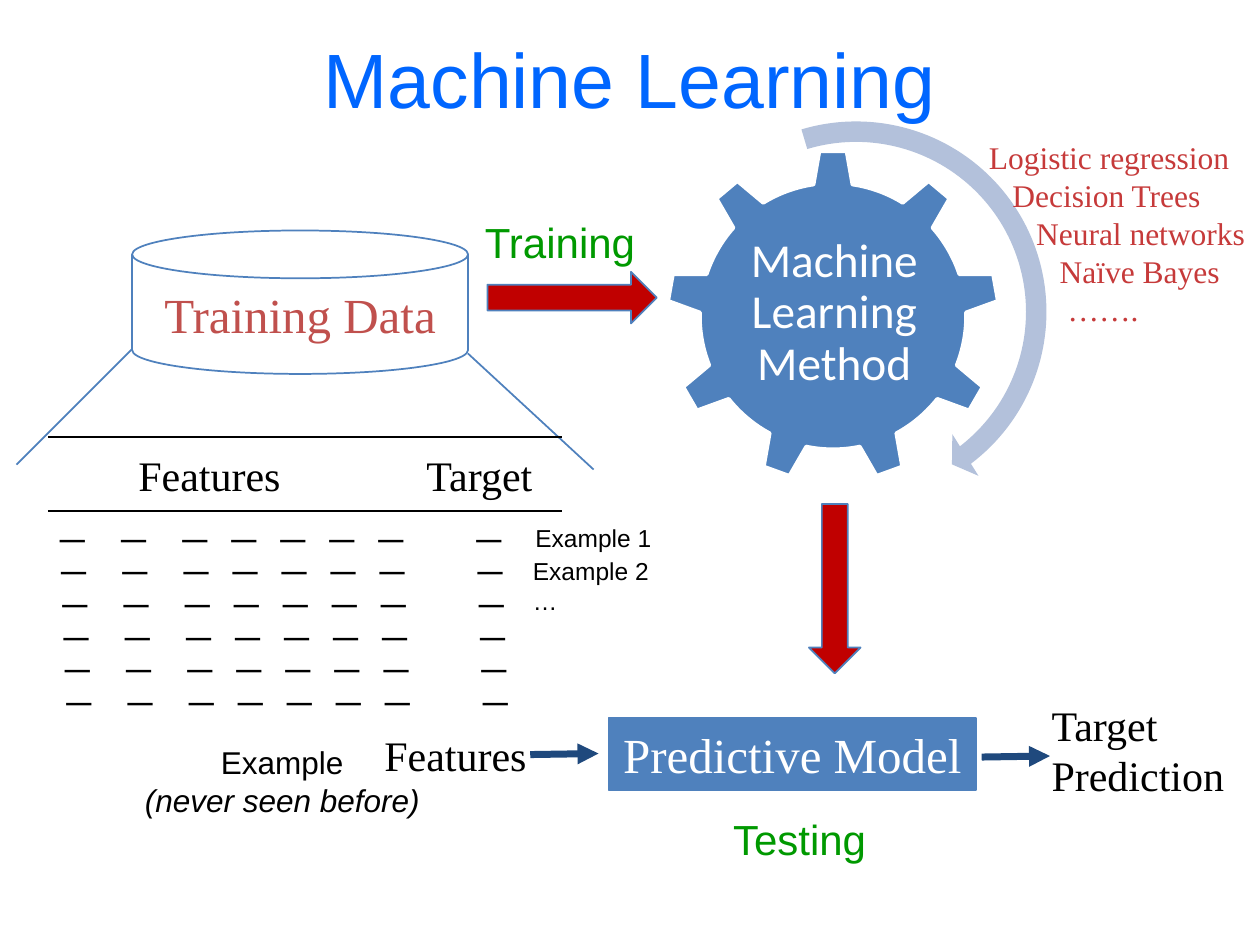
from lxml.etree import SubElement
from pptx import Presentation
from pptx.dml.color import RGBColor
from pptx.enum.shapes import MSO_CONNECTOR, MSO_SHAPE
from pptx.enum.text import MSO_ANCHOR, PP_ALIGN
from pptx.oxml.ns import qn
from pptx.util import Pt

BLACK = RGBColor(0x00, 0x00, 0x00)
WHITE = RGBColor(0xFF, 0xFF, 0xFF)
TITLE_BLUE = RGBColor(0x00, 0x66, 0xFF)
BLUE = RGBColor(0x4F, 0x81, 0xBD)
PALE_BLUE = RGBColor(0xB3, 0xC1, 0xDB)
NAVY = RGBColor(0x1F, 0x49, 0x7D)
RED = RGBColor(0xC0, 0x00, 0x00)
DATA_RED = RGBColor(0xC0, 0x50, 0x4D)
METHOD_RED = RGBColor(0xC6, 0x3A, 0x3A)
GREEN = RGBColor(0x00, 0x99, 0x00)
SERIF, SANS, GEAR_FONT = "Times New Roman", "Arial", "Calibri"


def add_run(paragraph, text, size, color, font=SERIF, italic=None):
    run = paragraph.add_run()
    run.text = text
    run.font.size = Pt(size)
    run.font.name = font
    run.font.color.rgb = color
    run.font.italic = italic


def add_tab_stops(paragraph, positions):
    tab_list = SubElement(paragraph._p.get_or_add_pPr(), qn("a:tabLst"))
    for position in positions:
        SubElement(tab_list, qn("a:tab"), pos=str(Pt(position)), algn="l")


def add_text(slide, box, lines, size, color=BLACK, font=SERIF, align=PP_ALIGN.LEFT,
             tabs=(), indents=(), italic_lines=()):
    """Add a text box with one paragraph per line."""
    shape = slide.shapes.add_textbox(*map(Pt, box))
    frame = shape.text_frame
    frame.word_wrap = True
    for index, line in enumerate(lines):
        paragraph = frame.add_paragraph() if index else frame.paragraphs[0]
        paragraph.alignment = align
        if indents:
            paragraph._p.get_or_add_pPr().set("marL", str(Pt(indents[index])))
        if tabs:
            add_tab_stops(paragraph, tabs)
        add_run(paragraph, line, size, color, font, True if index in italic_lines else None)
    return shape


def add_figure(slide, kind, box, fill=None, line=BLUE, line_width=1, rotation=0, adjustments=()):
    shape = slide.shapes.add_shape(kind, *map(Pt, box))
    shape.shadow.inherit = False
    shape.rotation = rotation
    for index, value in enumerate(adjustments):
        shape.adjustments[index] = value
    if fill is None:
        shape.fill.background()
    else:
        shape.fill.solid()
        shape.fill.fore_color.rgb = fill
    if line is None:
        shape.line.fill.background()
    else:
        shape.line.color.rgb = line
        shape.line.width = Pt(line_width)
    return shape


def add_label(shape, text, size, color):
    """Write one centred line inside a shape."""
    frame = shape.text_frame
    frame.word_wrap = False
    frame.vertical_anchor = MSO_ANCHOR.MIDDLE
    paragraph = frame.paragraphs[0]
    paragraph.alignment = PP_ALIGN.CENTER
    paragraph.space_before = Pt(size * 0.2)
    add_run(paragraph, text, size, color)


def add_line(slide, start, end, color, width=1, arrow=False):
    connector = slide.shapes.add_connector(MSO_CONNECTOR.STRAIGHT, *map(Pt, start + end))
    connector.line.color.rgb = color
    connector.line.width = Pt(width)
    if arrow:
        SubElement(connector.line._get_or_add_ln(), qn("a:tailEnd"), type="triangle")
    SubElement(connector._element.spPr, qn("a:effectLst"))


def add_title(slide, text):
    title = slide.shapes.title
    title.left, title.top, title.width, title.height = map(Pt, (36, -0.7, 648, 90))
    title.text_frame.vertical_anchor = MSO_ANCHOR.MIDDLE
    paragraph = title.text_frame.paragraphs[0]
    paragraph.alignment = PP_ALIGN.CENTER
    add_run(paragraph, text, 44, TITLE_BLUE, SANS)


def add_training_data(slide):
    disk = add_figure(slide, MSO_SHAPE.FLOWCHART_MAGNETIC_DISK, (75.5, 131.7, 192, 82))
    add_label(disk, "Training Data", 28, DATA_RED)
    # Lines that open the disk onto its table
    add_line(slide, (75.5, 199.4), (9.4, 265.5), BLUE)
    add_line(slide, (267.4, 202), (339.2, 268.3), BLUE)
    # Header between two rules
    add_text(slide, (72, 253.5, 250, 36), ["Features\tTarget"], 24, tabs=[164.6])
    for y in (249.8, 292):
        add_line(slide, (27.4, y), (321.1, y), BLACK)
    # Seven feature dashes and one target dash in each row
    stops = [35, 70] + [70 + 28 * step for step in range(1, 5)] + [238]
    for row in range(6):
        add_text(slide, (27.2 + 0.75 * row, 275 + 18.6 * row, 270, 41),
                 ["\t".join("_" * 8)], 28, tabs=stops)
    # Row names
    add_text(slide, (298.8, 295.2, 90, 24.5), ["Example 1"], 14, font=SANS)
    add_text(slide, (297.4, 314.4, 90, 41), ["Example 2", "…"], 14, font=SANS)


def add_method(slide):
    add_figure(slide, MSO_SHAPE.GEAR_9, (381, 85.7, 190, 190), BLUE, WHITE, 2)
    label = add_text(slide, (419.8, 130.3, 113.8, 97.9), ["Machine Learning Method"], 27,
                     WHITE, GEAR_FONT, PP_ALIGN.CENTER)
    frame = label.text_frame
    frame.vertical_anchor = MSO_ANCHOR.MIDDLE
    frame.margin_left = frame.margin_right = frame.margin_top = frame.margin_bottom = Pt(2.7)
    frame.paragraphs[0].line_spacing = 0.9
    frame.paragraphs[0].space_after = Pt(9.45)
    add_figure(slide, MSO_SHAPE.CIRCULAR_ARROW, (372.2, 61.2, 234, 234), PALE_BLUE, None,
               adjustments=(0.05, 3.13, 31.58, 152, 0.06))
    methods = ["Logistic regression", "Decision Trees", "Neural networks", "Naïve Bayes", "……."]
    add_text(slide, (558, 75.6, 166, 117), methods, 18, METHOD_RED,
             indents=[0, 13.5, 27, 40.5, 45])


def add_prediction(slide):
    model = add_figure(slide, MSO_SHAPE.RECTANGLE, (347.8, 410.4, 210, 41), BLUE)
    add_label(model, "Predictive Model", 28, WHITE)
    add_text(slide, (212.6, 413.5, 102, 36.5), ["Features"], 24)
    add_text(slide, (593.8, 396.2, 120, 65.5), ["Target", "Prediction"], 24)
    for x, y in ((303, 431.2), (561, 432.6)):
        add_line(slide, (x, y), (x + 39, y - 0.6), NAVY, 4, arrow=True)
    add_text(slide, (72.9, 421.2, 176.8, 51), ["Example", "(never seen before)"], 18,
             font=SANS, align=PP_ALIGN.CENTER, italic_lines=(1,))


def main():
    presentation = Presentation()
    presentation.slide_width, presentation.slide_height = Pt(720), Pt(540)
    slide = presentation.slides.add_slide(presentation.slide_layouts[5])
    add_title(slide, "Machine Learning")
    add_training_data(slide)
    add_method(slide)
    add_prediction(slide)
    # Block arrows from data to method and from method to model
    for left, top, rotation in ((278.5, 155.3, 0), (428.6, 321.6, 90)):
        add_figure(slide, MSO_SHAPE.RIGHT_ARROW, (left, top, 96.8, 29.5), RED, rotation=rotation)
    # Phase names
    for text, left, top in (("Training", 270, 120.3), ("Testing", 411.8, 461.5)):
        add_text(slide, (left, top, 106, 36.5), [text], 24, GREEN, SANS)
    presentation.save("out.pptx")


main()
